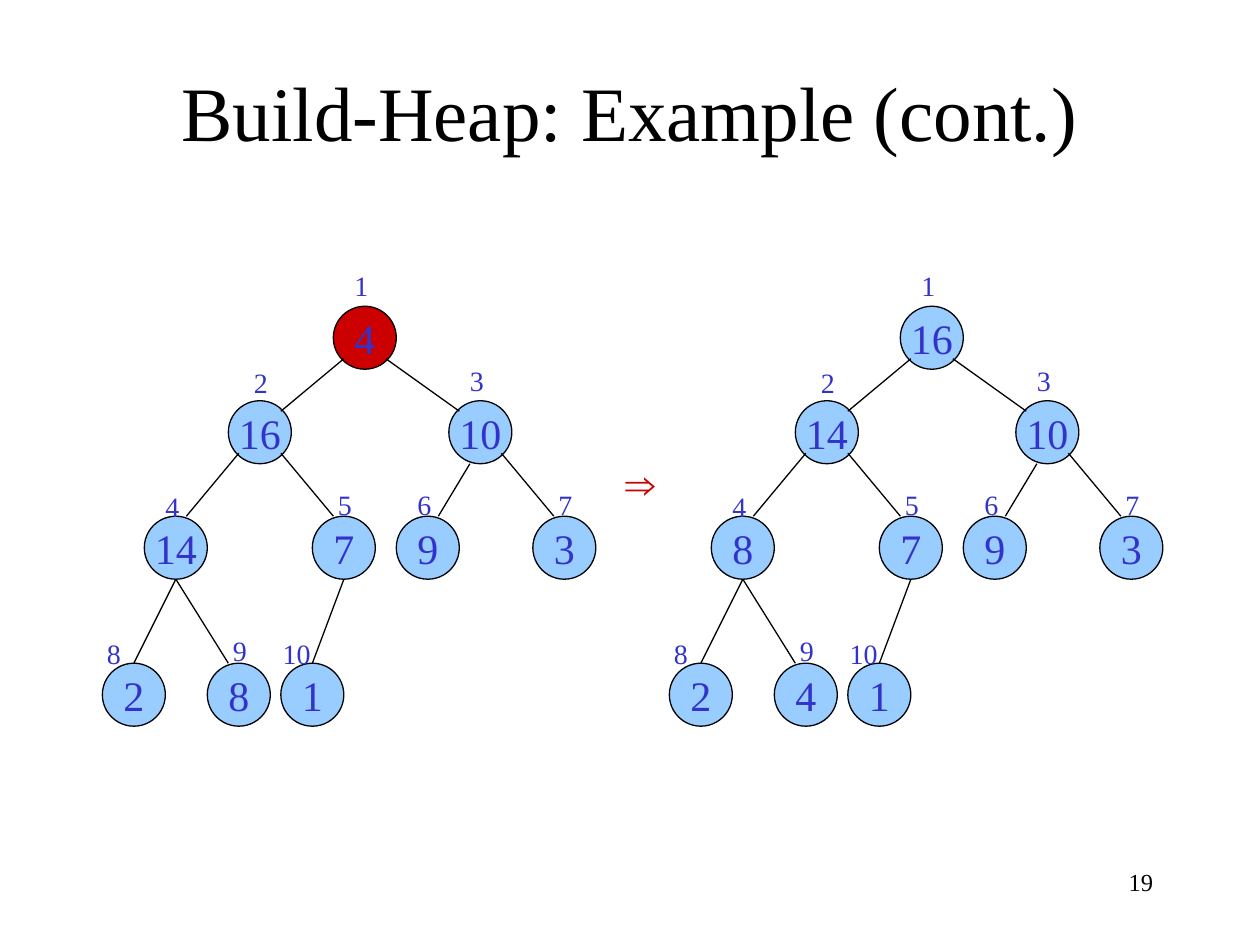
from lxml import etree
from pptx import Presentation
from pptx import util as u
from pptx.dml.color import RGBColor
from pptx.enum import shapes, text
from pptx.oxml.ns import qn

SERIF = "Times New Roman"
BLACK, BLUE, RED, SKY = "000000", "3333CC", "CD0000", "99CCFF"
NODE = 36
TREE_STEP = 324
ROW_TOPS = (175, 229, 295, 379)
NODE_LEFTS = (190.5, 130.5, 256.5, 82.5, 178.5, 226.5, 304.5, 58.5, 118.5, 160.5)
INDEX_OFFSETS = ((5, -25), (7.5, -23.5), (5, -25), (5, -19), (7.5, -20),
                 (5, -20), (7.5, -20), (-4.5, -19), (7.5, -20.5), (-6, -19))
PARENT_AND_CHILD_ENDS = {
    2: ((6, 30), (30, 6)), 3: ((30, 30), (6, 6)),
    4: ((6, 30), (24, 0)), 5: ((30, 30), (12, 0)),
    6: ((12, 36), (24, 0)), 7: ((30, 30), (12, 0)),
    8: ((18, 36), (18, 0)), 9: ((18, 36), (12, 0)),
    10: ((18, 36), (18, 0))}
HEAP_BEFORE = (4, 16, 10, 14, 7, 9, 3, 2, 8, 1)
HEAP_AFTER = (16, 14, 10, 8, 7, 9, 3, 2, 4, 1)


def color(hex_string):
    """Turn a hex string into a colour."""
    return RGBColor.from_string(hex_string)


def write(frame, words, size, ink, align=text.PP_ALIGN.LEFT, font=SERIF):
    """Set and format the single paragraph of a text frame."""
    frame.text = words
    paragraph = frame.paragraphs[0]
    paragraph.alignment = align
    run_font = paragraph.runs[0].font
    run_font.name, run_font.size = font, u.Pt(size)
    run_font.color.rgb = color(ink)


def add_label(parent, box, words, size, ink, wrap=False, **style):
    """Add a text box and return its frame."""
    frame = parent.add_textbox(*map(u.Pt, box)).text_frame
    write(frame, words, size, ink, **style)
    frame.word_wrap = wrap
    if not wrap:
        frame.auto_size = text.MSO_AUTO_SIZE.SHAPE_TO_FIT_TEXT
    return frame


def add_node(parent, left, top, key, fill):
    """Add a round heap node holding its key."""
    node = parent.add_shape(shapes.MSO_SHAPE.OVAL, *map(u.Pt, (left, top, NODE, NODE)))
    node.shadow.inherit = False
    node.fill.solid()
    node.fill.fore_color.rgb = color(fill)
    node.line.color.rgb = color(BLACK)
    node.line.width = u.Pt(0.75)
    write(node.text_frame, str(key), 24, BLUE, text.PP_ALIGN.CENTER)
    node.text_frame.word_wrap = False
    node.text_frame.vertical_anchor = text.MSO_ANCHOR.MIDDLE


def add_edge(parent, start, end):
    """Add a thin straight line between two points."""
    edge = parent.add_connector(shapes.MSO_CONNECTOR.STRAIGHT, *map(u.Pt, (*start, *end)))
    edge.line.color.rgb = color(BLACK)
    edge.line.width = u.Pt(0.75)
    etree.SubElement(edge._element.spPr, qn("a:effectLst"))


def add_heap(slide, shift, keys, active=None):
    """Add a grouped heap tree with its array indices, marking the active node."""
    tree = slide.shapes.add_group_shape().shapes
    corners = {index: (left + shift, ROW_TOPS[index.bit_length() - 1])
               for index, left in enumerate(NODE_LEFTS, 1)}
    for index, key in enumerate(keys, 1):
        add_node(tree, *corners[index], key, RED if index == active else SKY)
    for child, (leave, arrive) in PARENT_AND_CHILD_ENDS.items():
        start = [a + b for a, b in zip(corners[child // 2], leave)]
        end = [a + b for a, b in zip(corners[child], arrive)]
        add_edge(tree, start, end)
    for index, (dx, dy) in enumerate(INDEX_OFFSETS, 1):
        left, top = corners[index]
        width = 22.5 if index < 10 else 31
        add_label(tree, (left + dx, top + dy, width, 26.5), str(index), 16, BLUE)


def main():
    """Build the heap slide and save it."""
    deck = Presentation()
    deck.slide_width, deck.slide_height = u.Pt(720), u.Pt(540)
    slide = deck.slides.add_slide(deck.slide_layouts[6])
    title = add_label(slide.shapes, (54, 18, 612, 90), "Build-Heap: Example (cont.)",
                      44, BLACK, wrap=True, align=text.PP_ALIGN.CENTER)
    title.vertical_anchor = text.MSO_ANCHOR.MIDDLE
    add_heap(slide, 0, HEAP_BEFORE, active=1)
    add_heap(slide, TREE_STEP, HEAP_AFTER)
    add_label(slide.shapes, (350.5, 258, 33, 36), "⇒", 24, RED, font="Arial")
    add_label(slide.shapes, (516, 492, 150, 36), "19", 14, BLACK, wrap=True,
              align=text.PP_ALIGN.RIGHT)
    deck.save("out.pptx")


if __name__ == "__main__":
    main()
